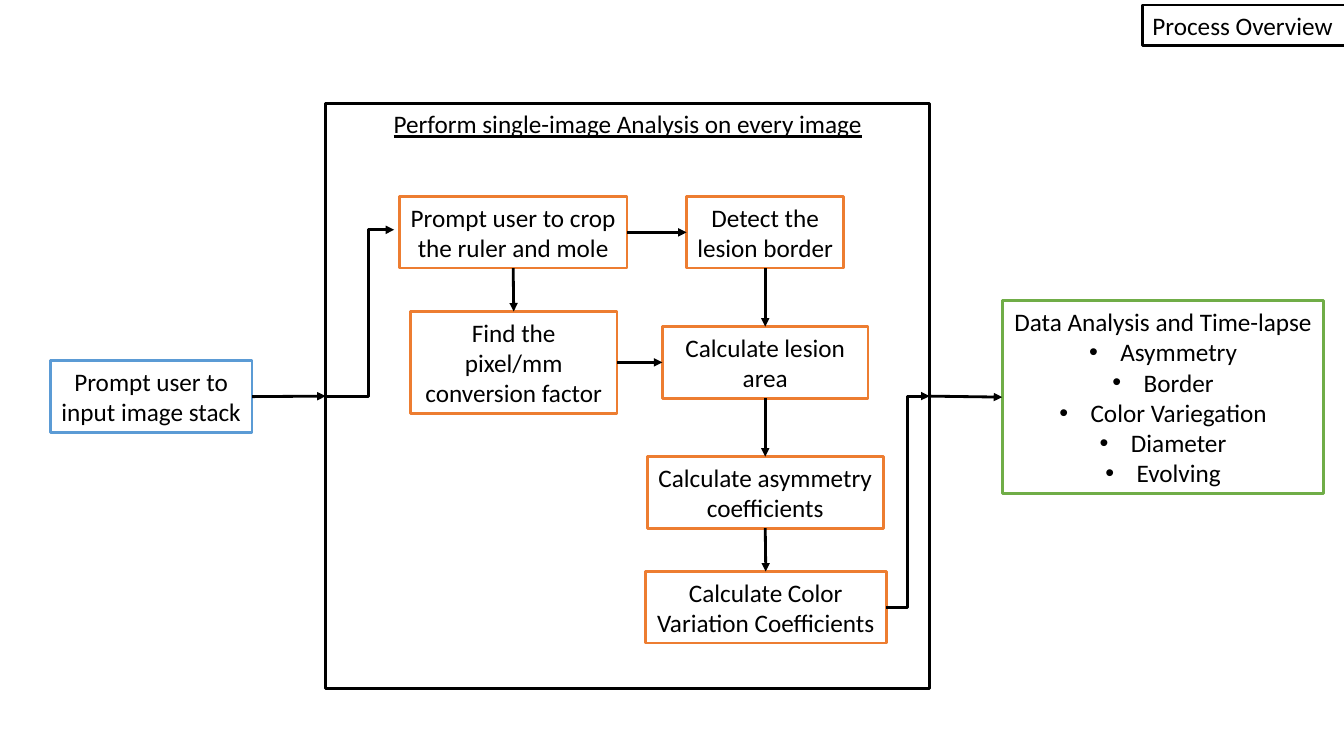
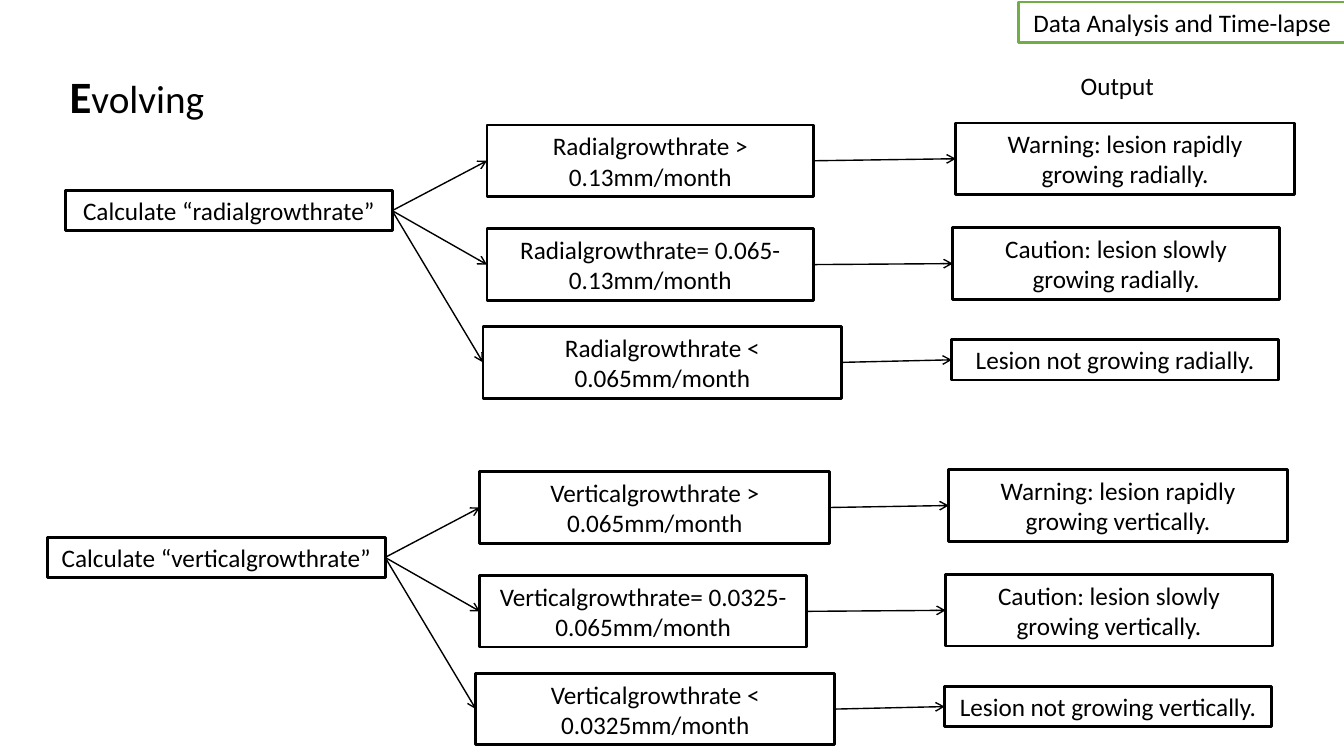
from pptx import Presentation
from pptx.dml.color import RGBColor
from pptx.enum.shapes import MSO_CONNECTOR, MSO_SHAPE
from pptx.enum.text import MSO_ANCHOR, MSO_AUTO_SIZE, PP_ALIGN
from pptx.oxml.ns import qn
from pptx.oxml.xmlchemy import OxmlElement
from pptx.util import Inches, Pt

COLORS = {
    "ink": "000000",
    "input": "5B9BD5",
    "step": "ED7D31",
    "analysis": "70AD47",
}
FONT = "Calibri"
TOP, LEFT, BOTTOM, RIGHT = range(4)
TITLE_ONLY = 5
ANALYSIS = "Data Analysis and Time-lapse"


def rgb(name):
    return RGBColor.from_string(COLORS[name])


def format_font(font, size=18, bold=False, underline=False):
    font.name = FONT
    font.size = Pt(size)
    font.bold = bold
    font.underline = underline
    font.color.rgb = rgb("ink")


def format_text(frame, align=PP_ALIGN.CENTER, wrap=True, underline=False):
    frame.word_wrap = wrap
    frame.auto_size = MSO_AUTO_SIZE.NONE
    for paragraph in frame.paragraphs:
        paragraph.alignment = align
        for run in paragraph.runs:
            format_font(run.font, underline=underline)


def outline(shape, color):
    shape.line.color.rgb = rgb(color)
    shape.line.width = Pt(2)


def add_box(shapes, text, place, color="ink", wrap=True, underline=False):
    box = shapes.add_shape(MSO_SHAPE.RECTANGLE, *map(Inches, place))
    box.shadow.inherit = False
    box.fill.background()
    outline(box, color)
    box.text_frame.text = text
    format_text(box.text_frame, wrap=wrap, underline=underline)
    return box


def place_title(slide, text, place, align):
    title = slide.shapes.title
    title.left, title.top, title.width, title.height = map(Inches, place)
    title.text_frame.text = text
    title.text_frame.vertical_anchor = MSO_ANCHOR.MIDDLE
    format_text(title.text_frame, align, wrap=False)
    return title


def add_bullet(paragraph):
    properties = paragraph._p.get_or_add_pPr()
    properties.set("marL", str(Inches(0.31)))
    properties.set("indent", str(-Inches(0.31)))
    for tag, key, value in (("a:buFont", "typeface", "Arial"), ("a:buChar", "char", "•")):
        element = OxmlElement(tag)
        element.set(key, value)
        properties.append(element)


def add_arrow(shapes, start, end, kind=MSO_CONNECTOR.STRAIGHT, width=2, head="triangle"):
    arrow = shapes.add_connector(kind, 0, 0, 0, 0)
    arrow.begin_connect(*start)
    if isinstance(end[0], float):
        arrow.end_x, arrow.end_y = map(Inches, end)
    else:
        arrow.end_connect(*end)
    arrow.line.color.rgb = rgb("ink")
    arrow.line.width = Pt(width)
    properties = arrow._element.spPr
    tail = OxmlElement("a:tailEnd")
    tail.set("type", head)
    properties.find(qn("a:ln")).append(tail)
    properties.append(OxmlElement("a:effectLst"))
    return arrow


def add_elbow(shapes, start, end, bend):
    elbow = add_arrow(shapes, start, end, MSO_CONNECTOR.ELBOW)
    geometry = elbow._element.spPr.find(qn("a:prstGeom"))
    guide = OxmlElement("a:gd")
    guide.set("name", "adj1")
    guide.set("fmla", f"val {round(bend * 100000)}")
    geometry.get_or_add_avLst().append(guide)


def build_overview(prs):
    slide = prs.slides.add_slide(prs.slide_layouts[TITLE_ONLY])
    shapes = slide.shapes
    title = place_title(slide, "Process Overview", (11.33, 0.05, 2.01, 0.4), PP_ALIGN.LEFT)
    outline(title, "ink")

    single_image = add_box(shapes, "Perform single-image Analysis on every image",
                           (3.23, 1.03, 5.99, 5.8), underline=True)
    single_image.text_frame.vertical_anchor = MSO_ANCHOR.TOP
    image_stack = add_box(shapes, "Prompt user to\vinput image stack",
                          (0.5, 3.58, 2, 0.71), "input", wrap=False)
    steps = (
        ("Prompt user to crop\vthe ruler and mole", (3.96, 1.95, 2.26, 0.71), False),
        ("Find the pixel/mm\vconversion factor", (4.07, 3.09, 2.05, 1.01), True),
        ("Detect the\nlesion border", (6.81, 1.95, 1.56, 0.71), False),
        ("Calculate lesion\narea", (6.57, 3.24, 2.04, 0.71), True),
        ("Calculate asymmetry\vcoefficients", (6.42, 4.53, 2.34, 0.71), False),
        ("Calculate Color\nVariation Coefficients", (6.4, 5.67, 2.39, 0.71), False),
    )
    crop, factor, border, area, asymmetry, variation = [
        add_box(shapes, text, place, "step", wrap) for text, place, wrap in steps
    ]
    features = ("Asymmetry", "Border", "Color Variegation", "Diameter", "Evolving")
    analysis = add_box(shapes, "\n".join((ANALYSIS, *features)),
                       (9.94, 2.98, 3.19, 1.92), "analysis", wrap=False)
    for paragraph in analysis.text_frame.paragraphs[1:]:
        add_bullet(paragraph)

    for source, target in ((image_stack, single_image), (crop, border),
                           (factor, area), (single_image, analysis)):
        add_arrow(shapes, (source, RIGHT), (target, LEFT))
    for source, target in ((crop, factor), (border, area),
                           (area, asymmetry), (asymmetry, variation)):
        add_arrow(shapes, (source, BOTTOM), (target, TOP))
    add_elbow(shapes, (single_image, LEFT), (3.91, 2.28), 0.62)
    add_elbow(shapes, (variation, RIGHT), (single_image, RIGHT), 0.49)


def add_growth_tree(slide, direction, limits, offset, start_width, rapid_width):
    shapes = slide.shapes.add_group_shape().shapes
    dx, dy = offset
    low, high = limits
    rate = f"{direction}growthrate"

    def add_node(text, left, top, width, height=0.71):
        return add_box(shapes, text, (left + dx, top + dy, width, height))

    start = add_node(f"Calculate “{rate}”", 3.89 - start_width, 1.89, start_width, 0.4)
    name = rate.capitalize()
    conditions = (
        add_node(f"{name} > {high}mm/month", 4.83, 1.24, rapid_width),
        add_node(f"{name}= {low}-{high}mm/month", 4.83, 2.27, 3.24),
        add_node(f"{name} < {low}mm/month", 4.79, 3.24, 3.56),
    )
    growing = f"growing {direction}ly."
    outputs = (
        add_node(f"Warning: lesion rapidly {growing}", 9.48, 1.22, 3.36),
        add_node(f"Caution: lesion slowly {growing}", 9.45, 2.26, 3.24),
        add_node(f"Lesion not {growing}", 9.44, 3.37, 3.24, 0.4),
    )
    for condition, output in zip(conditions, outputs):
        for source, target in ((start, condition), (condition, output)):
            add_arrow(shapes, (source, RIGHT), (target, LEFT), width=1, head="arrow")


def build_evolving(prs):
    slide = prs.slides.add_slide(prs.slide_layouts[TITLE_ONLY])
    title = place_title(slide, "E", (0.59, 0.63, 1.55, 0.64), PP_ALIGN.LEFT)
    heading = title.text_frame.paragraphs[0]
    format_font(heading.runs[0].font, 32, bold=True)
    rest = heading.add_run()
    rest.text = "volving"
    format_font(rest.font, 28)

    add_box(slide.shapes, ANALYSIS, (10.1, 0.02, 3.25, 0.4), "analysis")
    output = slide.shapes.add_textbox(*map(Inches, (10.62, 0.65, 2.34, 0.4)))
    output.text_frame.text = "Output"
    format_text(output.text_frame, PP_ALIGN.LEFT)
    add_growth_tree(slide, "radial", ("0.065", "0.13"), (0, 0), 3.24, 3.24)
    add_growth_tree(slide, "vertical", ("0.0325", "0.065"), (-0.07, 3.44), 3.35, 3.47)


def main():
    prs = Presentation()
    prs.slide_width = Inches(13.33)
    prs.slide_height = Inches(7.5)
    build_overview(prs)
    build_evolving(prs)
    prs.save("out.pptx")


if __name__ == "__main__":
    main()
